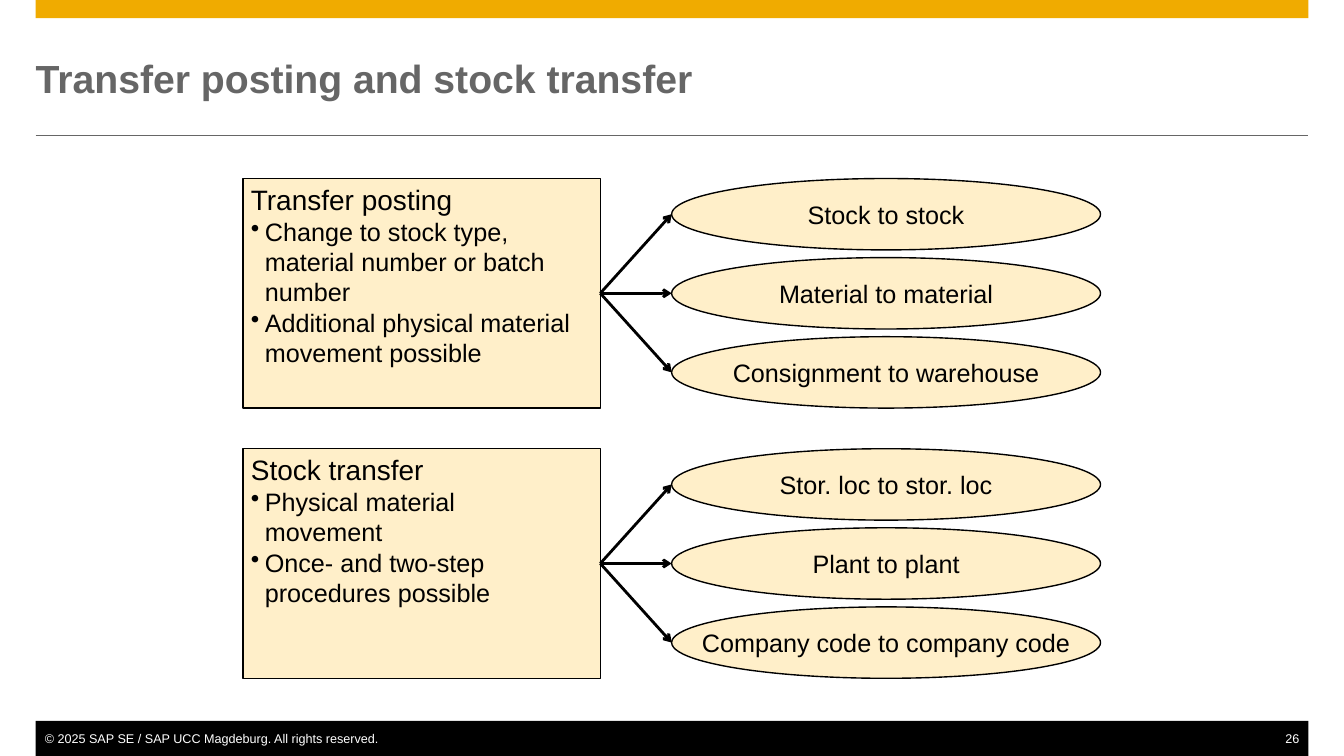
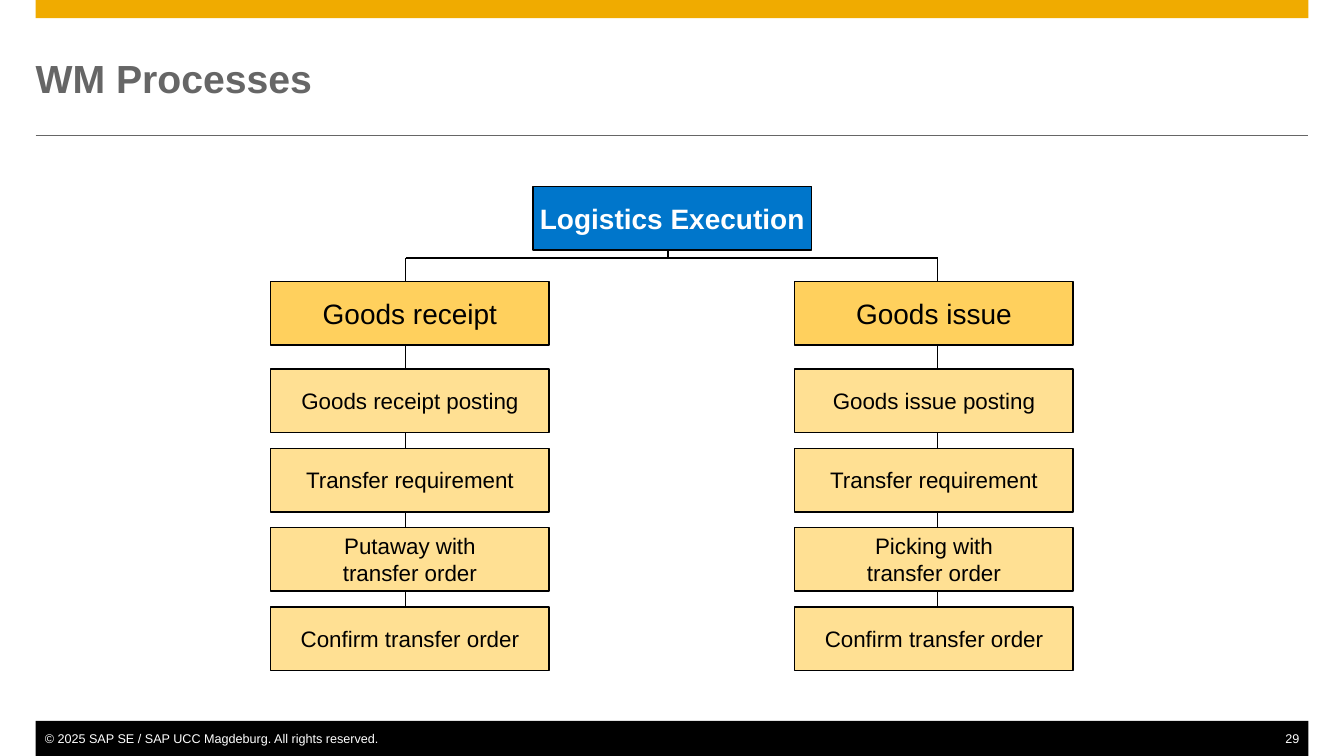
from lxml.etree import SubElement
from pptx import Presentation
from pptx.dml.color import RGBColor
from pptx.enum.shapes import MSO_CONNECTOR, MSO_SHAPE
from pptx.enum.text import MSO_ANCHOR, PP_ALIGN
from pptx.oxml.ns import qn
from pptx.util import Pt

# Shared look
COLORS = {
    "band": "F0AB00", "title": "666666", "black": "000000", "white": "FFFFFF",
    "pale": "FFEFC9", "root": "0076CB", "head": "FFD05D", "step": "FFE093",
}
FONT = "Arial"
WIDTH, HEIGHT = 960.48, 540
LEFT, INNER = 25.5, 909.5
FOOTER = "© 2025 SAP SE / SAP UCC Magdeburg. All rights reserved."

# Content: heading, bullets, targets
TRANSFERS = [
    ("Transfer posting",
     ["Change to stock type,\nmaterial number or batch\nnumber",
      "Additional physical material\nmovement possible"],
     ["Stock to stock", "Material to material", "Consignment to warehouse"]),
    ("Stock transfer",
     ["Physical material\nmovement", "Once- and two-step\nprocedures possible"],
     ["Stor. loc to stor. loc", "Plant to plant", "Company code to company code"]),
]
ROOT = "Logistics Execution"
# Content: heading, steps
PROCESSES = [
    ("Goods receipt", ["Goods receipt posting", "Transfer requirement",
                       "Putaway with\ntransfer order", "Confirm transfer order"]),
    ("Goods issue", ["Goods issue posting", "Transfer requirement",
                     "Picking with\ntransfer order", "Confirm transfer order"]),
]


def color(name):
    return RGBColor.from_string(COLORS[name])


def add_text(para, text, size=18, ink="black", bold=False, align=PP_ALIGN.CENTER,
             bullet=False):
    """Fill one paragraph, with a hanging bullet if asked for."""
    if bullet:
        props = para._p.get_or_add_pPr()
        props.set("marL", str(Pt(10)))
        props.set("indent", str(Pt(-10)))
        SubElement(props, qn("a:buChar")).set("char", "•")
    para.text = text
    para.alignment = align
    for span in para.runs:
        span.font.name = FONT
        span.font.size = Pt(size)
        span.font.bold = bold
        span.font.color.rgb = color(ink)


def set_frame(box, anchor=MSO_ANCHOR.MIDDLE, wrap=False, left=0, top=0, right=0):
    frame = box.text_frame
    frame.word_wrap = wrap
    frame.vertical_anchor = anchor
    frame.margin_left, frame.margin_top = Pt(left), Pt(top)
    frame.margin_right, frame.margin_bottom = Pt(right), Pt(0)
    return frame


def add_box(page, x, y, w, h, fill, kind=MSO_SHAPE.RECTANGLE, outline=True):
    box = page.shapes.add_shape(kind, Pt(x), Pt(y), Pt(w), Pt(h))
    box.shadow.inherit = False
    box.fill.solid()
    box.fill.fore_color.rgb = color(fill)
    if outline:
        box.line.color.rgb = color("black")
        box.line.width = Pt(1)
    else:
        box.line.fill.background()
    return box


def add_label(page, x, y, w, h, fill, text, kind=MSO_SHAPE.RECTANGLE, **style):
    box = add_box(page, x, y, w, h, fill, kind)
    add_text(set_frame(box).paragraphs[0], text, **style)


def add_text_box(page, x, y, w, h, text, anchor=MSO_ANCHOR.TOP, left=0, right=0, **style):
    box = page.shapes.add_textbox(Pt(x), Pt(y), Pt(w), Pt(h))
    frame = set_frame(box, anchor, True, left=left, right=right)
    add_text(frame.paragraphs[0], text, **style)


def add_line(page, x1, y1, x2, y2, ink="black", width=1, arrow=False):
    line = page.shapes.add_connector(MSO_CONNECTOR.STRAIGHT, Pt(x1), Pt(y1), Pt(x2), Pt(y2))
    line.line.color.rgb = color(ink)
    line.line.width = Pt(width)
    if arrow:
        SubElement(line.line._get_or_add_ln(), qn("a:tailEnd")).set("type", "arrow")
    SubElement(line._element.spPr, qn("a:effectLst"))
    return line


def add_page(deck, title, number):
    """Start a page with the band, title, rule and footer."""
    page = deck.slides.add_slide(deck.slide_layouts[6])
    add_box(page, LEFT, 0, INNER, 13, "band", outline=False)
    add_line(page, LEFT, 97, LEFT + INNER, 97, "title", 0.5)
    add_box(page, LEFT, 515, INNER, 25, "black", outline=False)
    add_text_box(page, LEFT, 522, 400, 11, FOOTER, left=6.5,
                 size=9, ink="white", align=PP_ALIGN.LEFT)
    add_text_box(page, LEFT + INNER - 40, 522, 40, 11, str(number), right=6.5,
                 size=9, ink="white", align=PP_ALIGN.RIGHT)
    add_text_box(page, LEFT, 25.5, INNER, 60, title, MSO_ANCHOR.MIDDLE,
                 size=28, ink="title", bold=True, align=PP_ALIGN.LEFT)
    return page


def build_transfers(deck):
    page = add_page(deck, "Transfer posting and stock transfer", 26)
    panel_x, panel_w, panel_h = 173.75, 255.25, 164
    oval_x, oval_w, oval_h = 480, 306.5, 51
    for row, (heading, bullets, targets) in enumerate(TRANSFERS):
        top = 127.5 + row * 193
        panel = add_box(page, panel_x, top, panel_w, panel_h, "pale")
        frame = set_frame(panel, MSO_ANCHOR.TOP, True, left=5.5, top=3)
        add_text(frame.paragraphs[0], heading, size=20, align=PP_ALIGN.LEFT)
        for bullet in bullets:
            add_text(frame.add_paragraph(), bullet, align=PP_ALIGN.LEFT, bullet=True)
        # Ovals fill the height of the panel
        pitch = (panel_h - oval_h) / (len(targets) - 1)
        for index, target in enumerate(targets):
            y = top + index * pitch
            add_label(page, oval_x, y, oval_w, oval_h, "pale", target, MSO_SHAPE.OVAL)
            arrow = add_line(page, panel_x + panel_w, top + panel_h / 2,
                             oval_x, y + oval_h / 2, width=2, arrow=True)
            arrow.begin_connect(panel, 3)


def build_processes(deck):
    page = add_page(deck, "WM Processes", 29)
    box_w, box_h = 199, 45.5
    root_x, root_y, head_y, step_y, pitch = 381, 133, 201, 263.5, 56.65
    column_xs, trunk_xs = (193.5, 568), (290, 670)
    bar_y, stem_x = 184.25, 477.5
    # Lines behind the boxes
    for x in trunk_xs:
        add_line(page, x, bar_y, x, step_y + 3 * pitch)
    add_line(page, trunk_xs[0], bar_y, trunk_xs[1], bar_y)
    add_line(page, stem_x, root_y + box_h, stem_x, bar_y)
    # Boxes
    add_label(page, root_x, root_y, box_w, box_h, "root", ROOT,
              size=20, ink="white", bold=True)
    for x, (heading, steps) in zip(column_xs, PROCESSES):
        add_label(page, x, head_y, box_w, box_h, "head", heading, size=20)
        for index, step in enumerate(steps):
            add_label(page, x, step_y + index * pitch, box_w, box_h, "step", step, size=16)


def main():
    deck = Presentation()
    deck.slide_width, deck.slide_height = Pt(WIDTH), Pt(HEIGHT)
    build_transfers(deck)
    build_processes(deck)
    deck.save("out.pptx")


if __name__ == "__main__":
    main()
